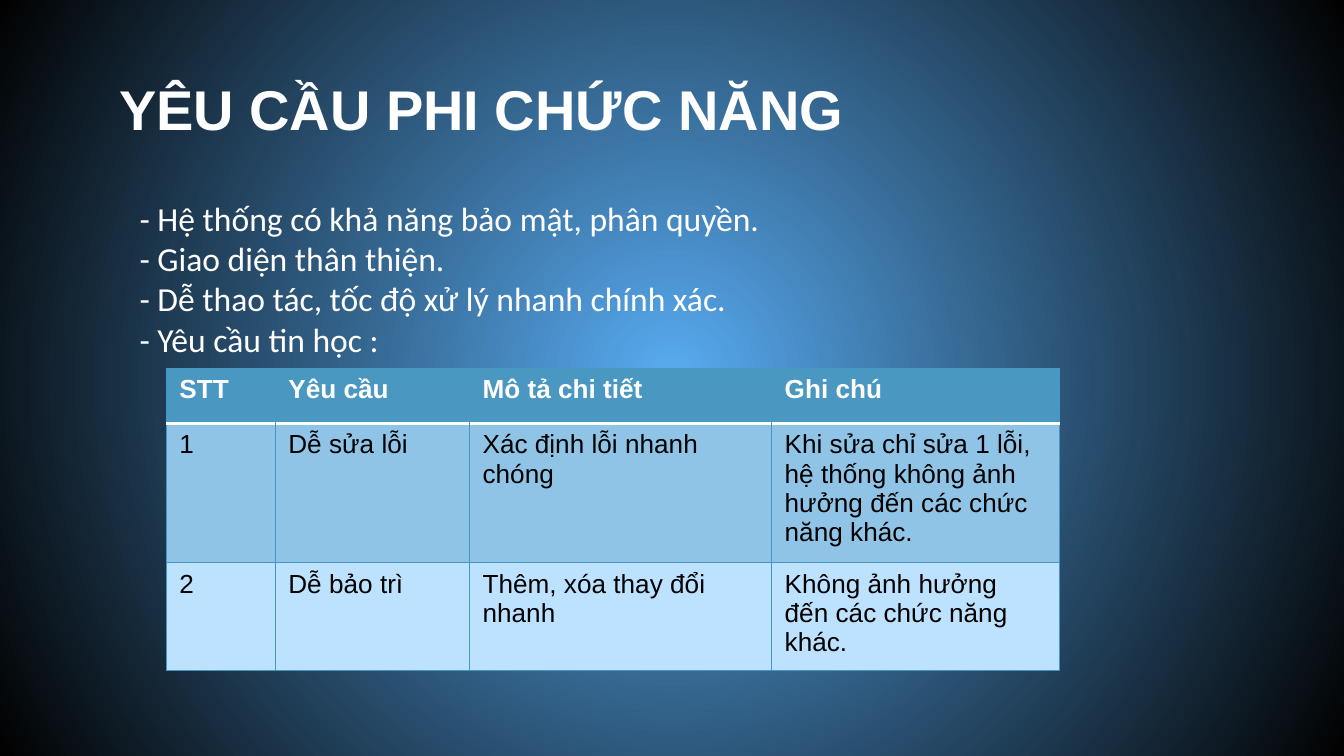
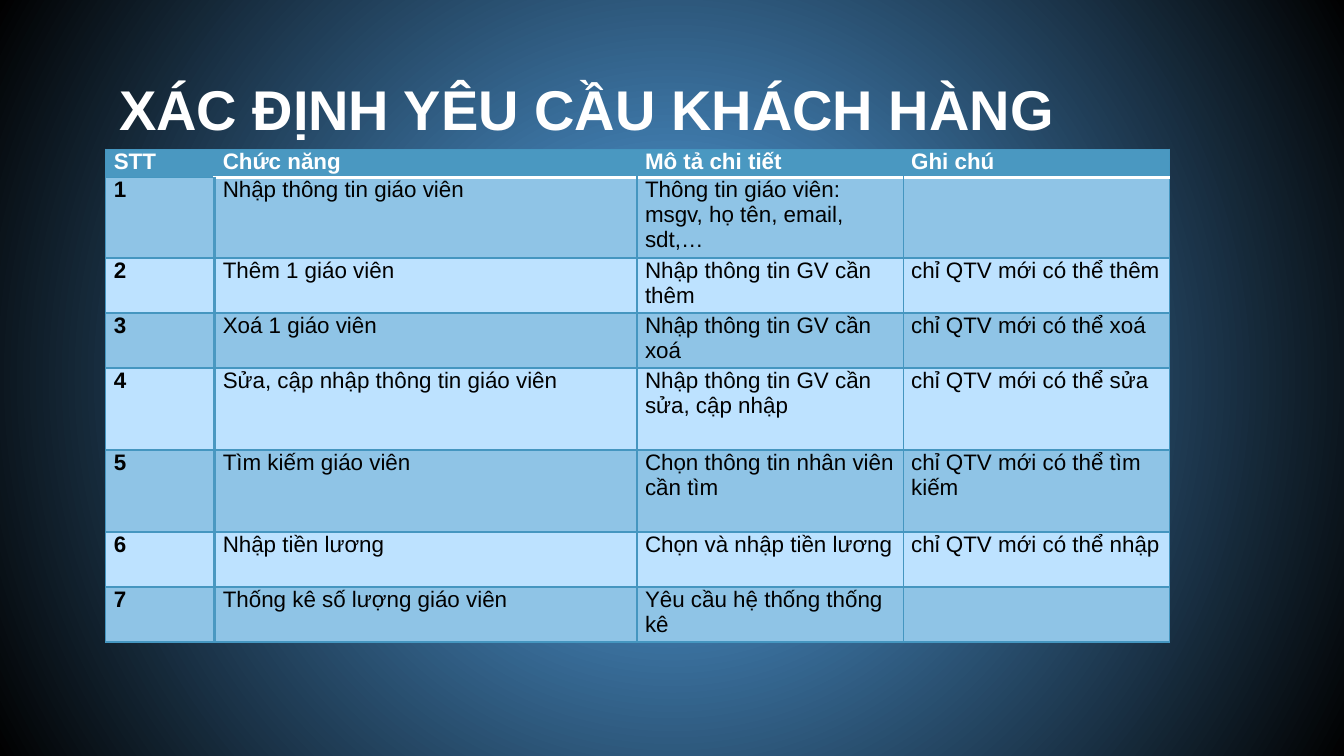
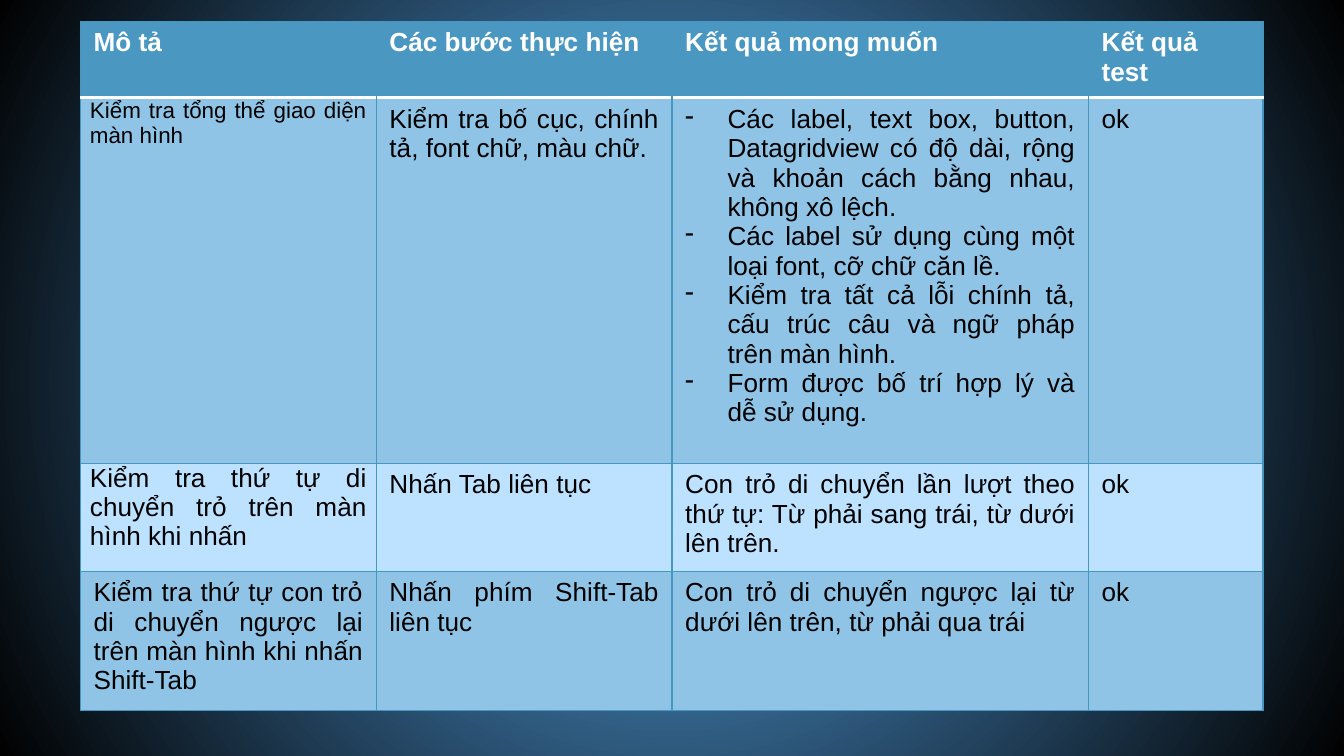
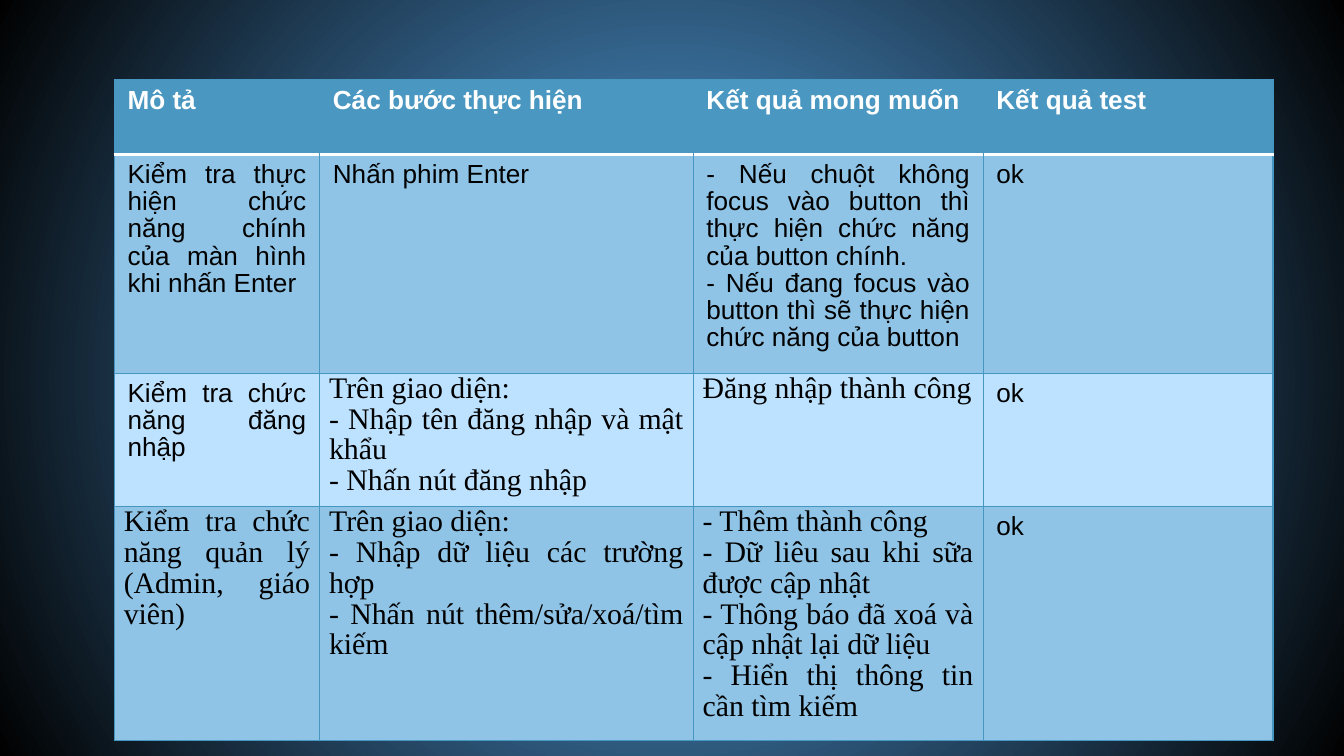
from lxml.etree import SubElement
from pptx import Presentation
from pptx.dml.color import RGBColor
from pptx.enum.text import MSO_ANCHOR, PP_ALIGN
from pptx.oxml.ns import qn
from pptx.util import Cm, Pt

WHITE = "FFFFFF"
INK = "010101"
BLACK = "000000"
GLOW = "58ABF1"
HEADER = "4A98C1"
BAND = "8FC4E6"
LIGHT = "BDE2FF"
GRID = "4596C0"

THIN = (GRID, 0.75)
RULE = (WHITE, 2)
SIDE = (HEADER, 2)
SERIF = {"size": 16, "font": "Times New Roman", "color": BLACK}
TIGHT = {"margins": (0.18, 0)}


def rgb(value):
    return RGBColor.from_string(value)


def add_bullet(paragraph, character, color, indent=0.8):
    properties = paragraph._p.get_or_add_pPr()
    properties.set("marL", str(Cm(indent)))
    properties.set("indent", str(-Cm(indent)))
    bullet_color = SubElement(properties, qn("a:buClr"))
    SubElement(bullet_color, qn("a:srgbClr"), val=color)
    SubElement(properties, qn("a:buChar"), char=character)


def write(frame, text, size=14, font="Arial", color=INK, bold=False, align=PP_ALIGN.LEFT,
          bullet=None, spacing=None):
    frame.word_wrap = True
    for index, line in enumerate(text.split("\n")):
        paragraph = frame.add_paragraph() if index else frame.paragraphs[0]
        paragraph.alignment = align
        paragraph.line_spacing = spacing
        if bullet:
            add_bullet(paragraph, bullet, BLACK)
        run = paragraph.add_run()
        run.text = line
        run.font.size = Pt(size)
        run.font.name = font
        run.font.bold = bold
        run.font.color.rgb = rgb(color)


def set_borders(cell, left, right, top, bottom):
    properties = cell._tc.get_or_add_tcPr()
    sides = zip(("a:lnL", "a:lnR", "a:lnT", "a:lnB"), (left, right, top, bottom))
    for index, (tag, border) in enumerate(sides):
        line = SubElement(properties, qn(tag))
        if border:
            color, width = border
            line.set("w", str(Pt(width)))
            SubElement(SubElement(line, qn("a:solidFill")), qn("a:srgbClr"), val=color)
        else:
            SubElement(line, qn("a:noFill"))
        properties.insert(index, line)


class Deck:
    def __init__(self):
        self.presentation = Presentation()
        self.presentation.slide_width = Cm(25.4)
        self.presentation.slide_height = Cm(14.29)
        self.slide = None
        self.paint_background()

    def paint_background(self):
        master = self.presentation.slide_master
        fill = master.background.fill
        fill.gradient()
        for stop, position, color in zip(fill.gradient_stops, (0, 1), (GLOW, INK)):
            stop.position = position
            stop.color.rgb = rgb(color)
        gradient = master.element.find(".//" + qn("a:gradFill"))
        gradient.remove(gradient.find(qn("a:lin")))
        circle = SubElement(gradient, qn("a:path"), path="circle")
        SubElement(circle, qn("a:fillToRect"), l="50000", t="50000", r="50000", b="50000")

    def new_slide(self):
        self.slide = self.presentation.slides.add_slide(self.presentation.slide_layouts[6])

    def text(self, box, text, **style):
        shape = self.slide.shapes.add_textbox(*map(Cm, box))
        write(shape.text_frame, text, **style)
        return shape.text_frame

    def title(self, text):
        frame = self.text((2, 1.24, 21.42, 1.6), text, size=30, color=WHITE, bold=True)
        frame.vertical_anchor = MSO_ANCHOR.MIDDLE
        frame.margin_top = frame.margin_bottom = Cm(0.25)

    def table(self, position, widths, heights, rows, size=14, margins=(0.25, 0.13),
              body_align=PP_ALIGN.LEFT, body_spacing=None, bold_first=False, special=None):
        special = special or {}
        box = (*position, sum(widths), sum(heights))
        table = self.slide.shapes.add_table(len(rows), len(widths), *map(Cm, box)).table
        table.horz_banding = False
        for column, width in zip(table.columns, widths):
            column.width = Cm(width)
        for row, height in zip(table.rows, heights):
            row.height = Cm(height)
        last = len(widths) - 1
        for row_index, row in enumerate(rows):
            for column_index, text in enumerate(row):
                cell = table.cell(row_index, column_index)
                is_header = row_index == 0
                is_first = column_index == 0
                style = {"size": size, "margins": margins}
                if is_header:
                    style.update(color=WHITE, bold=True)
                else:
                    style.update(bold=bold_first and is_first, spacing=body_spacing)
                    if column_index < last:
                        style["align"] = body_align
                style.update(special.get((row_index, column_index), {}))
                across, down = map(Cm, style.pop("margins"))
                cell.margin_left = cell.margin_right = across
                cell.margin_top = cell.margin_bottom = down
                cell.fill.solid()
                cell.fill.fore_color.rgb = rgb(HEADER if is_header else BAND if row_index % 2 else LIGHT)
                if text:
                    write(cell.text_frame, text, **style)
                rule = THIN if bold_first and is_first else RULE
                if is_header:
                    set_borders(cell, THIN if is_first else None,
                                THIN if column_index == last else None, THIN, rule)
                else:
                    set_borders(cell, SIDE if bold_first and column_index == 1 else THIN,
                                SIDE if bold_first and is_first else THIN,
                                rule if row_index == 1 else THIN, THIN)


def non_functional_slide(deck):
    deck.new_slide()
    deck.title("YÊU CẦU PHI CHỨC NĂNG")
    deck.text((2.39, 3.61, 14.02, 3.33),
              "- Hệ thống có khả năng bảo mật, phân quyền.\n"
              "- Giao diện thân thiện.\n"
              "- Dễ thao tác, tốc độ xử lý nhanh chính xác.\n"
              "- Yêu cầu tin học :",
              size=18, font="Calibri", color=WHITE)
    rows = [
        ("STT", "Yêu cầu", "Mô tả chi tiết", "Ghi chú"),
        ("1", "Dễ sửa lỗi", "Xác định lỗi nhanh chóng",
         "Khi sửa chỉ sửa 1 lỗi, hệ thống không ảnh hưởng đến các chức năng khác."),
        ("2", "Dễ bảo trì", "Thêm, xóa thay đổi nhanh", "Không ảnh hưởng đến các chức năng khác."),
    ]
    deck.table((3.14, 6.96), (2.06, 3.67, 5.71, 5.45), (1.04, 2.62, 2.03), rows)


def customer_slide(deck):
    deck.new_slide()
    deck.title("XÁC ĐỊNH YÊU CẦU KHÁCH HÀNG")
    rows = [
        ("STT", "Chức năng", "Mô tả chi tiết", "Ghi chú"),
        ("1", "Nhập thông tin giáo viên", "Thông tin giáo viên: msgv, họ tên, email, sdt,…", ""),
        ("2", "Thêm 1 giáo viên", "Nhập thông tin GV cần thêm", "chỉ QTV mới có thể thêm"),
        ("3", "Xoá 1 giáo viên", "Nhập thông tin GV cần xoá", "chỉ QTV mới có thể xoá"),
        ("4", "Sửa, cập nhập thông tin giáo viên", "Nhập thông tin GV cần sửa, cập nhập",
         "chỉ QTV mới có thể sửa"),
        ("5", "Tìm kiếm giáo viên", "Chọn thông tin nhân viên cần tìm", "chỉ QTV mới có thể tìm kiếm"),
        ("6", "Nhập tiền lương", "Chọn và nhập tiền lương", "chỉ QTV mới có thể nhập"),
        ("7", "Thống kê số lượng giáo viên", "Yêu cầu hệ thống thống kê", ""),
    ]
    deck.table((2, 2.82), (2.06, 7.98, 5.03, 5.03), (0.53, 1.4, 1.04, 1.04, 1.55, 1.55, 1.04, 1.04),
               rows, size=12, margins=(0.15, 0), bold_first=True)


def interface_test_slide(deck):
    deck.new_slide()
    rows = [
        ("Mô tả", "Các bước thực hiện", "Kết quả mong muốn", "Kết quả test"),
        ("Kiểm tra tổng thể giao diện màn hình", "Kiểm tra bố cục, chính tả, font chữ, màu chữ.",
         "Các label, text box, button, Datagridview có độ dài, rộng và khoản cách bằng nhau, không xô lệch.\n"
         "Các label sử dụng cùng một loại font, cỡ chữ căn lề.\n"
         "Kiểm tra tất cả lỗi chính tả, cấu trúc câu và ngữ pháp trên màn hình.\n"
         "Form được bố trí hợp lý và dễ sử dụng.", "ok"),
        ("Kiểm tra thứ tự di chuyển trỏ trên màn hình khi nhấn", "Nhấn Tab liên tục",
         "Con trỏ di chuyển lần lượt theo thứ tự: Từ phải sang trái, từ dưới lên trên.", "ok"),
        ("Kiểm tra thứ tự con trỏ di chuyển ngược lại trên màn hình khi nhấn Shift-Tab",
         "Nhấn phím Shift-Tab liên tục",
         "Con trỏ di chuyển ngược lại từ dưới lên trên, từ phải qua trái", "ok"),
    ]
    special = {(1, 0): {"size": 12, **TIGHT}, (1, 2): {"bullet": "-"}, (2, 0): TIGHT}
    deck.table((1.52, 0.4), (5.59, 5.59, 7.87, 3.3), (1.37, 6.91, 1.91, 2.49), rows,
               body_align=PP_ALIGN.JUSTIFY, special=special)


def function_test_slide(deck):
    deck.new_slide()
    rows = [
        ("Mô tả", "Các bước thực hiện", "Kết quả mong muốn", "Kết quả test"),
        ("Kiểm tra thực hiện chức năng chính của màn hình khi nhấn Enter", "Nhấn phim Enter",
         "- Nếu chuột không focus vào button thì thực hiện chức năng của button chính.\n"
         "- Nếu đang focus vào button thì sẽ thực hiện chức năng của button", "ok"),
        ("Kiểm tra chức năng đăng nhập",
         "Trên giao diện:\n- Nhập tên đăng nhập và mật khẩu\n- Nhấn nút đăng nhập",
         "Đăng nhập thành công", "ok"),
        ("Kiểm tra chức năng quản lý (Admin, giáo viên)",
         "Trên giao diện:\n- Nhập dữ liệu các trường hợp\n- Nhấn nút thêm/sửa/xoá/tìm kiếm",
         "- Thêm thành công\n- Dữ liêu sau khi sữa được cập nhật\n"
         "- Thông báo đã xoá và cập nhật lại dữ liệu\n- Hiển thị thông tin cần tìm kiếm", "ok"),
    ]
    serif_cells = [(2, 1), (2, 2), (3, 0), (3, 1), (3, 2)]
    deck.table((2.16, 1.5), (3.88, 7.06, 5.48, 5.48), (1.42, 4.14, 2.5, 4.4), rows,
               body_align=PP_ALIGN.JUSTIFY, body_spacing=0.93,
               special={cell: {**SERIF, **TIGHT} for cell in serif_cells})


def main():
    deck = Deck()
    non_functional_slide(deck)
    customer_slide(deck)
    interface_test_slide(deck)
    function_test_slide(deck)
    deck.presentation.save("out.pptx")


if __name__ == "__main__":
    main()
